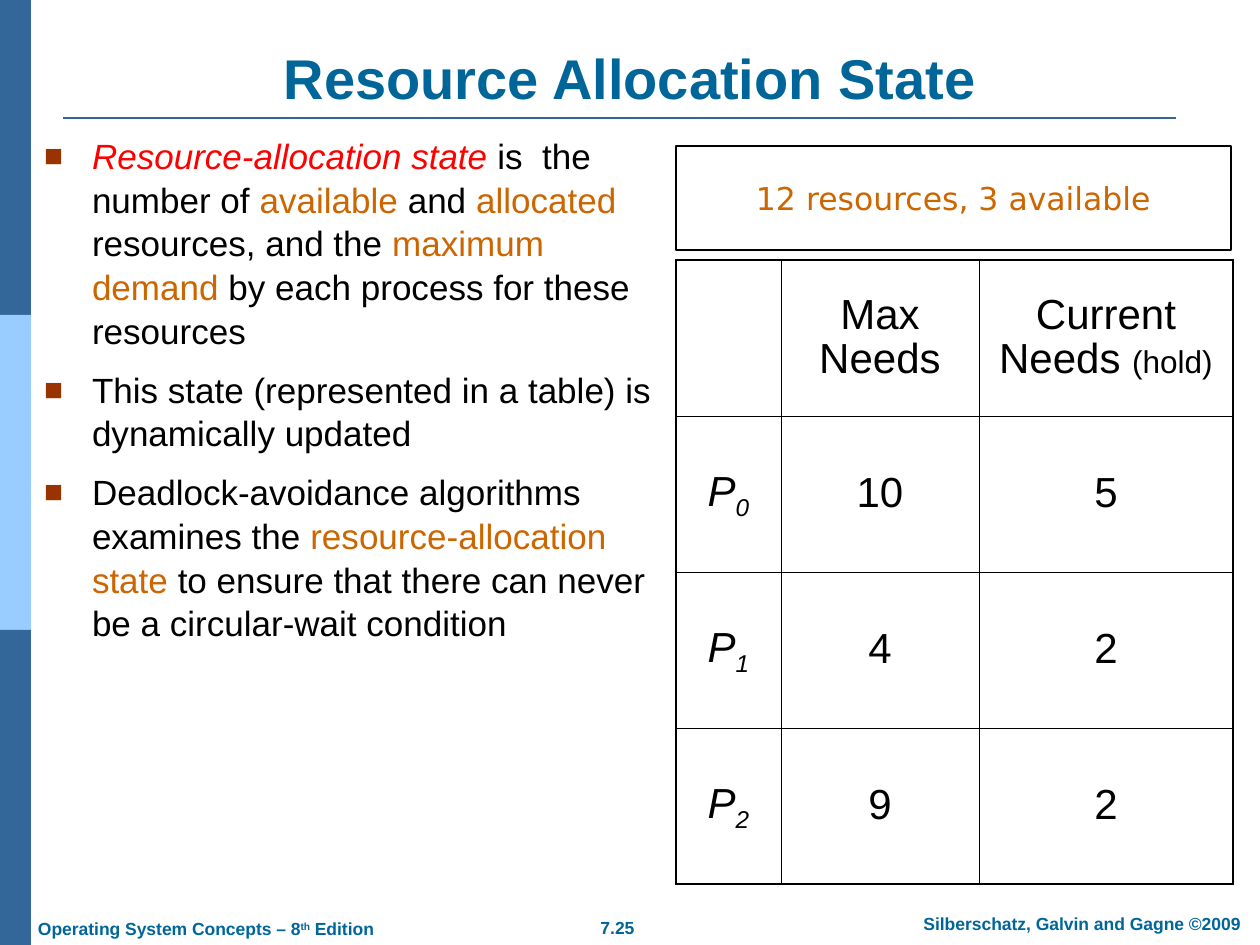
import pptx
import pptx.util
import pptx.dml.color
import pptx.enum.text
import pptx.enum.shapes
import pptx.oxml
import pptx.oxml.ns

RGB = pptx.dml.color.RGBColor
ALIGN = pptx.enum.text.PP_ALIGN
ANCHOR = pptx.enum.text.MSO_ANCHOR
SHAPE = pptx.enum.shapes.MSO_SHAPE
NAVY = RGB(0x33, 0x66, 0x99)
SKY = RGB(0x99, 0xCC, 0xFF)
TEAL = RGB(0x00, 0x66, 0x99)
RUST = RGB(0x99, 0x33, 0x00)
AMBER = RGB(0xCC, 0x66, 0x00)
RED = RGB(0xFF, 0x00, 0x00)
BLACK = RGB(0x00, 0x00, 0x00)
WHITE = RGB(0xFF, 0xFF, 0xFF)
SCALE = 914400 / 126


def px(count):
    return pptx.util.Emu(round(count * SCALE))


def node(xml):
    return pptx.oxml.parse_xml(xml.replace(" ", f" {pptx.oxml.ns.nsdecls('a')} ", 1))


class Deck:
    font = "Arial"
    pad = (12, 6)

    def __init__(self, wide, high):
        self.file = pptx.Presentation()
        self.file.slide_width, self.file.slide_height = px(wide), px(high)
        self.slide = self.file.slides.add_slide(self.file.slide_layouts[6])
        self.shapes = self.slide.shapes

    def fill_para(self, para, runs, size, color=BLACK, bold=False, font=None, align=ALIGN.LEFT):
        para.alignment = align
        for text, style in runs:
            run = para.add_run()
            run.text = text
            run.font.name = font or self.font
            run.font.size = pptx.util.Pt(style.get("size", size))
            run.font.color.rgb = style.get("color", color)
            run.font.bold = bold
            run.font.italic = style.get("slant", False)
            if "base" in style:
                run._r.get_or_add_rPr().set("baseline", str(style["base"] * 1000))

    def frame(self, shape, wrap, anchor):
        frame = shape.text_frame
        frame.word_wrap = wrap
        frame.vertical_anchor = anchor
        frame.margin_left = frame.margin_right = px(self.pad[0])
        frame.margin_top = frame.margin_bottom = px(self.pad[1])
        return frame

    def text(self, spot, runs, size, wrap=True, anchor=ANCHOR.TOP, **style):
        box = self.shapes.add_textbox(*map(px, spot))
        frame = self.frame(box, wrap, anchor)
        self.fill_para(frame.paragraphs[0], runs, size, **style)

    def list(self, spot, items, size):
        box = self.shapes.add_textbox(*map(px, spot))
        frame = self.frame(box, True, ANCHOR.TOP)
        for count, runs in enumerate(items):
            para = frame.add_paragraph() if count else frame.paragraphs[0]
            props = para._p.get_or_add_pPr()
            props.set("marL", str(px(48)))
            props.set("indent", str(-px(48)))
            for xml in (
                f'<a:buClr ><a:srgbClr val="{RUST}"/></a:buClr>',
                '<a:buSzPct val="90000"/>',
                f'<a:buFont typeface="{self.font}"/>',
                '<a:buChar char="■"/>',
            ):
                props.append(node(xml))
            para.line_spacing = 1.04
            if count:
                para.space_before = pptx.util.Pt(8.8)
            self.fill_para(para, runs, size)

    def rect(self, spot, fill, line=None):
        shape = self.shapes.add_shape(SHAPE.RECTANGLE, *map(px, spot))
        shape.shadow.inherit = False
        shape.fill.solid()
        shape.fill.fore_color.rgb = fill
        if line is None:
            shape.line.fill.background()
        else:
            shape.line.color.rgb = line
            shape.line.width = pptx.util.Pt(0.75)
        return shape

    def label(self, spot, runs, size, **style):
        shape = self.rect(spot, WHITE, BLACK)
        frame = self.frame(shape, False, ANCHOR.MIDDLE)
        self.fill_para(frame.paragraphs[0], runs, size, align=ALIGN.CENTER, **style)

    def rule(self, start, end, color, width):
        line = self.shapes.add_connector(
            pptx.enum.shapes.MSO_CONNECTOR.STRAIGHT, *map(px, start + end))
        line.line.color.rgb = color
        line.line.width = pptx.util.Pt(width)
        line._element.spPr.append(node("<a:effectLst />"))

    def edge(self, cell, side, width):
        cell._tc.get_or_add_tcPr().append(node(
            f'<a:ln{side} w="{pptx.util.Pt(width)}"><a:solidFill>'
            f'<a:srgbClr val="{BLACK}"/></a:solidFill></a:ln{side}>'))

    def table(self, left, top, wides, high, rows, size):
        last, end = len(rows) - 1, len(wides) - 1
        spot = (left, top, sum(wides), high * len(rows))
        grid = self.shapes.add_table(len(rows), len(wides), *map(px, spot)).table
        grid.first_row = grid.horz_banding = False
        for col, wide in zip(grid.columns, wides):
            col.width = px(wide)
        for y, row in enumerate(rows):
            grid.rows[y].height = px(high)
            for x, runs in enumerate(row):
                cell = grid.cell(y, x)
                outer = {"L": x == 0, "R": x == end, "T": y == 0, "B": y == last}
                for side, thick in outer.items():
                    self.edge(cell, side, 1.08 if thick else 0.45)
                cell.fill.solid()
                cell.fill.fore_color.rgb = WHITE
                cell.vertical_anchor = ANCHOR.MIDDLE
                cell.margin_left = cell.margin_right = px(self.pad[0])
                cell.margin_top = cell.margin_bottom = px(self.pad[1])
                para = cell.text_frame.paragraphs[0]
                para.line_spacing = 0.95
                self.fill_para(para, runs, size, align=ALIGN.CENTER)


def main():
    deck = Deck(1260, 945)
    for band, color in enumerate((NAVY, SKY, NAVY)):
        deck.rect((0, band * 315, 31, 315), color)
    deck.rule((63, 118), (1176, 118), NAVY, 1.5)

    foot = {"size": 10, "color": TEAL, "bold": True}
    deck.text((556, 911, 123, 34), [("7.25", {})], wrap=False, align=ALIGN.CENTER, **foot)
    deck.text((895, 907, 374, 34), [("Silberschatz, Galvin and Gagne ©2009", {})],
              align=ALIGN.CENTER, **foot)
    deck.text((26, 912, 360, 34),
              [("Operating System Concepts – 8", {}), ("th", {"base": 30}), (" Edition", {})],
              wrap=False, **foot)

    deck.text((63, 38, 1134, 79), [("Resource Allocation State", {})], 32, color=TEAL,
              bold=True, anchor=ANCHOR.BOTTOM, align=ALIGN.CENTER)

    warm = {"color": AMBER}
    deck.list((32, 127, 636, 756), [
        [("Resource-allocation state", {"color": RED, "slant": True}),
         (" is  the number of ", {}), ("available", warm), (" and ", {}),
         ("allocated", warm), (" resources, and the ", {}), ("maximum demand", warm),
         (" by each process for these resources", {})],
        [("This state (represented in a table) is dynamically updated", {})],
        [("Deadlock-avoidance algorithms examines the ", {}),
         ("resource-allocation state", warm),
         (" to ensure that there can never be a circular-wait condition", {})],
    ], 20)

    rows = [[[], [("Max Needs", {})], [("Current Needs ", {}), ("(hold)", {"size": 18})]]]
    for count, (most, held) in enumerate(((10, 5), (4, 2), (9, 2))):
        name = [("P", {"slant": True}), (str(count), {"slant": True, "base": -25})]
        rows.append([name, [(str(most), {})], [(str(held), {})]])
    deck.table(676, 260, (105, 198, 254), 156, rows, 24)
    deck.label((676, 146, 555, 104), [("12 resources, 3 available", {})], 18,
               color=AMBER, font="DejaVu Sans")
    deck.file.save("out.pptx")


if __name__ == "__main__":
    main()
